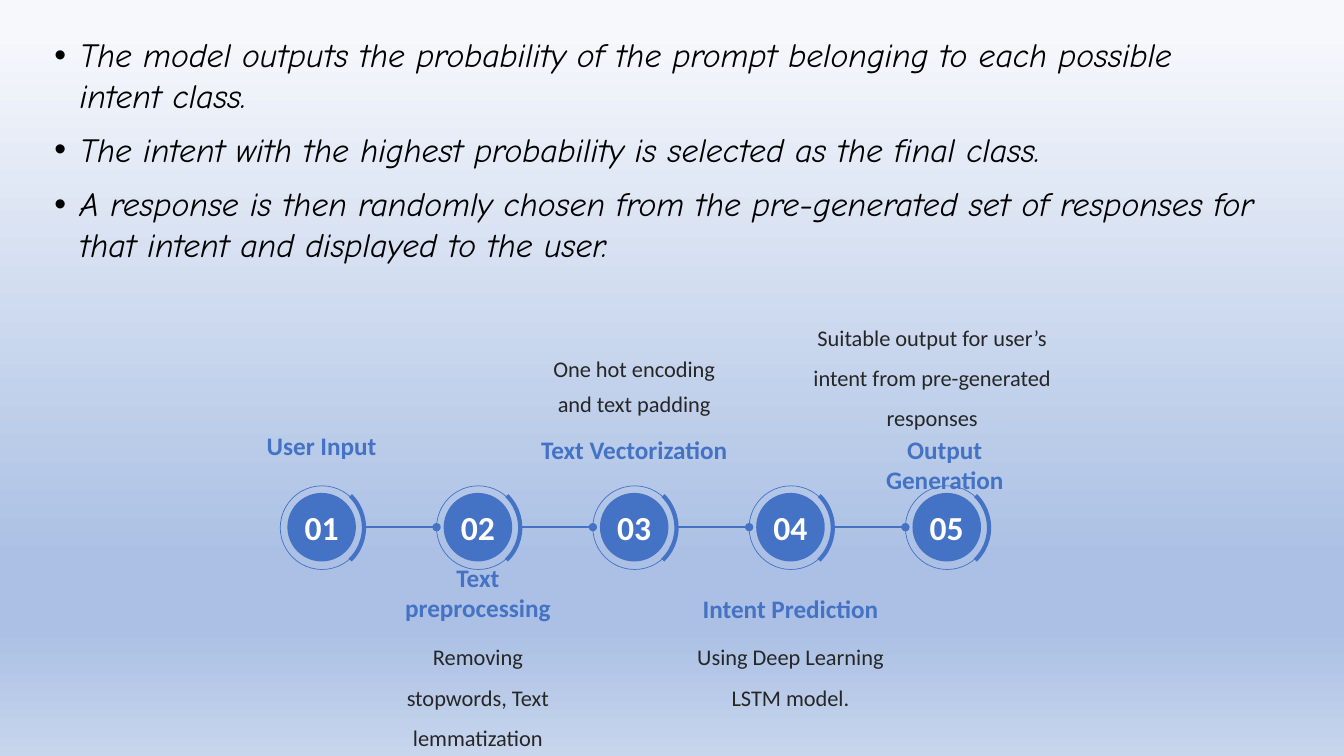
from copy import deepcopy
from dataclasses import dataclass

from pptx import Presentation
from pptx.dml.color import RGBColor
from pptx.enum.shapes import MSO_CONNECTOR, MSO_SHAPE
from pptx.enum.text import MSO_ANCHOR, MSO_AUTO_SIZE, PP_ALIGN
from pptx.oxml.ns import qn
from pptx.oxml.xmlchemy import OxmlElement
from pptx.shapes.autoshape import Shape
from pptx.slide import Slide
from pptx.text.text import TextFrame
from pptx.util import Pt

EMU_PER_PX = 9144  # 100 px to the inch
BLUE, WHITE, BLACK, DARK = "4472C4", "FFFFFF", "000000", "262626"
BACKGROUND_STOPS = [(0.04, "F6F8FC"), (0.74, "ABC0E4"), (0.83, "ABC0E4"), (1, "C7D5ED")]

STEP_COUNT = 5
STEP_PITCH = 155
RING_LEFT, RING_TOP, RING_SIZE = 278, 482, 83
DISC_INSET, DISC_SIZE = 7, 68
ARC_SIZE = 89
LINE_START, LINE_Y = 84, 523
LABEL_WIDTH = 192

BULLETS = [
    "The model outputs the probability of the prompt belonging to each possible intent class.",
    "The intent with the highest probability is selected as the final class.",
    "A response is then randomly chosen from the pre-generated set of responses "
    "for that intent and displayed to the user.",
]


@dataclass
class Label:
    text: str
    step: int
    top: int
    height: int = 34
    width: int = LABEL_WIDTH
    shift: int = 0
    anchor: MSO_ANCHOR = MSO_ANCHOR.TOP
    size: int = 18
    color: str = BLUE
    bold: bool = True
    line_spacing: float = 1.0


@dataclass
class Detail(Label):
    size: int = 16
    color: str = DARK
    bold: bool = False
    line_spacing: float = 1.5


LABELS = [
    Label("User Input", 0, 427),
    Detail("One hot encoding and text padding", 2, 341, 73,
           anchor=MSO_ANCHOR.BOTTOM, line_spacing=1.3),
    Label("Text Vectorization", 2, 431),
    Detail("Suitable output for user’s intent from pre-generated responses", 4, 315, 113,
           width=269, shift=-15, anchor=MSO_ANCHOR.BOTTOM),
    Label("Output Generation", 4, 431, shift=-2),
    Detail("Removing stopwords, Text lemmatization", 1, 625, 85),
    Label("Text preprocessing", 1, 584, anchor=MSO_ANCHOR.BOTTOM),
    Detail("Using Deep Learning LSTM model.", 3, 625, 85),
    Label("Intent Prediction", 3, 585, anchor=MSO_ANCHOR.BOTTOM),
]


def px(length: int) -> int:
    return length * EMU_PER_PX


def rgb(color: str) -> RGBColor:
    return RGBColor.from_string(color)


def ring_left(step: int) -> int:
    return RING_LEFT + step * STEP_PITCH


def paint_background(slide: Slide) -> None:
    fill = slide.background.fill
    fill.gradient()
    fill.gradient_angle = 270
    stop_list = next(slide.element.iter(qn("a:gsLst")))
    while len(stop_list) < len(BACKGROUND_STOPS):
        stop_list.append(deepcopy(stop_list[0]))
    for stop, (position, color) in zip(fill.gradient_stops, BACKGROUND_STOPS):
        stop.color.rgb = rgb(color)
        stop.position = position


def fill_body(slide: Slide) -> None:
    slide.shapes.title.element.getparent().remove(slide.shapes.title.element)
    body = slide.placeholders[1]
    body.left, body.top, body.width, body.height = map(px, (44, 29, 1213, 701))
    frame = body.text_frame
    frame.text = "\n".join(BULLETS)
    frame.auto_size = MSO_AUTO_SIZE.NONE
    for paragraph in frame.paragraphs:
        paragraph.space_before = Pt(10)
        properties = paragraph._p.get_or_add_pPr()
        properties.set("marL", str(px(25)))
        properties.set("indent", str(px(-25)))
        font = paragraph.runs[0].font
        font.name, font.size, font.italic = "Comic Neue", Pt(24), True
        font.color.rgb = rgb(BLACK)


def set_centred_text(frame: TextFrame, text: str, size: int, color: str, bold: bool,
                     anchor: MSO_ANCHOR, line_spacing: float = 1.0, wrap: bool = True) -> None:
    frame.text = text
    frame.word_wrap = wrap
    frame.auto_size = MSO_AUTO_SIZE.NONE
    frame.vertical_anchor = anchor
    frame.margin_left = frame.margin_top = frame.margin_right = frame.margin_bottom = 0
    paragraph = frame.paragraphs[0]
    paragraph.alignment = PP_ALIGN.CENTER
    paragraph.line_spacing = line_spacing
    font = paragraph.runs[0].font
    font.name, font.size, font.bold = "Calibri", Pt(size), bold
    font.color.rgb = rgb(color)


def add_outline(slide: Slide, kind: MSO_SHAPE, left: int, top: int, size: int,
                line_width: float) -> Shape:
    shape = slide.shapes.add_shape(kind, px(left), px(top), px(size), px(size))
    shape.shadow.inherit = False
    shape.fill.background()
    shape.line.color.rgb = rgb(BLUE)
    shape.line.width = Pt(line_width)
    return shape


def add_step(slide: Slide, step: int) -> None:
    left = ring_left(step)
    add_outline(slide, MSO_SHAPE.OVAL, left, RING_TOP, RING_SIZE, 0.5)

    disc = slide.shapes.add_shape(MSO_SHAPE.OVAL, px(left + DISC_INSET),
                                  px(RING_TOP + DISC_INSET), px(DISC_SIZE), px(DISC_SIZE))
    disc.shadow.inherit = False
    disc.fill.solid()
    disc.fill.fore_color.rgb = rgb(BLUE)
    disc.line.fill.background()
    set_centred_text(disc.text_frame, f"{step + 1:02}", 24, WHITE, True,
                     MSO_ANCHOR.MIDDLE, wrap=False)

    arc = add_outline(slide, MSO_SHAPE.ARC, left - 6, RING_TOP - 3, ARC_SIZE, 3)
    arc.rotation = 270
    arc.adjustments[0] = 26.57
    arc.adjustments[1] = 81.76


def add_link(slide: Slide, step: int) -> None:
    """Join a step to the next one with a line ending in a dot."""
    connector = slide.shapes.add_connector(
        MSO_CONNECTOR.STRAIGHT, px(ring_left(step) + LINE_START), px(LINE_Y),
        px(ring_left(step + 1)), px(LINE_Y))
    connector.line.color.rgb = rgb(BLUE)
    connector.line.width = Pt(1.25)
    dot = OxmlElement("a:tailEnd")
    dot.set("type", "oval")
    connector.line._get_or_add_ln().append(dot)
    connector._element.spPr.append(OxmlElement("a:effectLst"))


def add_label(slide: Slide, label: Label) -> None:
    left = ring_left(label.step) + (RING_SIZE - label.width) // 2 + label.shift
    box = slide.shapes.add_textbox(px(left), px(label.top), px(label.width), px(label.height))
    set_centred_text(box.text_frame, label.text, label.size, label.color, label.bold,
                     label.anchor, label.line_spacing)


def main() -> None:
    presentation = Presentation()
    presentation.slide_width, presentation.slide_height = px(1333), px(750)
    slide = presentation.slides.add_slide(presentation.slide_layouts[1])
    paint_background(slide)
    fill_body(slide)
    for step in range(STEP_COUNT):
        add_step(slide, step)
    for step in range(STEP_COUNT - 1):
        add_link(slide, step)
    for label in LABELS:
        add_label(slide, label)
    presentation.save("out.pptx")


if __name__ == "__main__":
    main()
